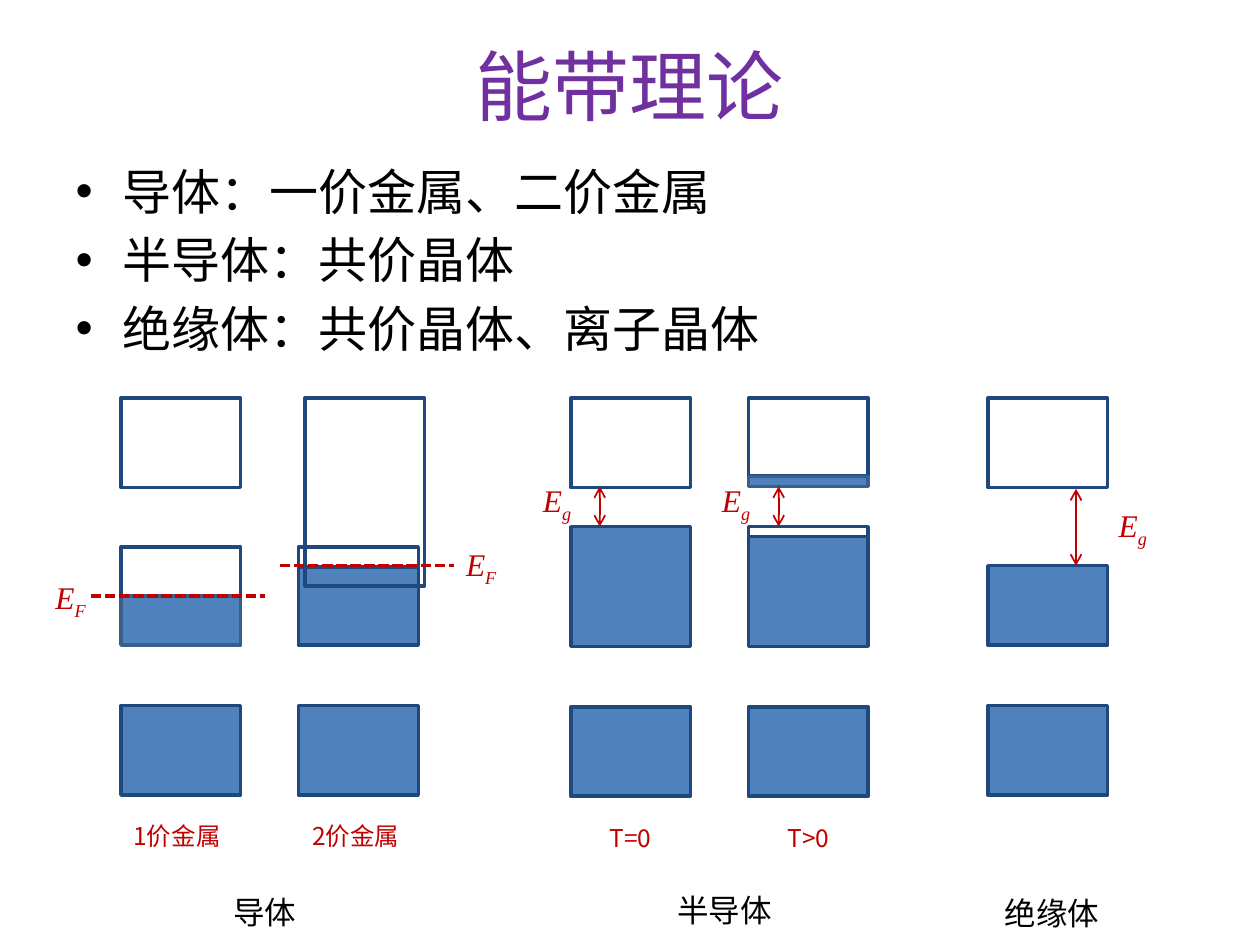
from lxml import etree
from pptx import Presentation
from pptx.dml.color import RGBColor
from pptx.enum.dml import MSO_LINE
from pptx.enum.shapes import MSO_CONNECTOR, MSO_SHAPE
from pptx.enum.text import MSO_ANCHOR, MSO_AUTO_SIZE, PP_ALIGN
from pptx.oxml.ns import qn
from pptx.util import Inches, Pt

RECT = MSO_SHAPE.RECTANGLE
STRAIGHT = MSO_CONNECTOR.STRAIGHT
DASH = MSO_LINE.SQUARE_DOT
MIDDLE = MSO_ANCHOR.MIDDLE
GROW = MSO_AUTO_SIZE.SHAPE_TO_FIT_TEXT
LEFT, CENTER = PP_ALIGN.LEFT, PP_ALIGN.CENTER

BLUE, WHITE, NAVY, STEEL = "4F81BD", "FFFFFF", "1F497D", "3A5F8C"
RED, BLACK, PURPLE = "C00000", "000000", "7030A0"
CJK = "Noto Sans CJK SC"
hue = RGBColor.from_string


def write(par, text, color, **form):
    """Add a run to a paragraph, with its font set from form."""
    run = par.add_run()
    run.text = text
    for key, value in form.items():
        setattr(run.font, key, value)
    run.font.color.rgb = hue(color)
    etree.SubElement(run.font._element, qn("a:ea"), typeface=CJK)
    return run


def add_label(left, top, width, align=CENTER, wrap=True):
    """Add a text box and return its first paragraph."""
    box = slide.shapes.add_textbox(Inches(left), Inches(top), Inches(width), Inches(0.4))
    box.text_frame.word_wrap = wrap
    box.text_frame.auto_size = GROW
    par = box.text_frame.paragraphs[0]
    par.alignment = align
    return par


deck = Presentation()
deck.slide_width, deck.slide_height = Inches(10), Inches(7.5)
slide = deck.slides.add_slide(deck.slide_layouts[1])

# Title and list
title, body = slide.placeholders
for holder, top, height in ((title, 0.05, 1.25), (body, 1.23, 1.73)):
    holder.left, holder.top = Inches(0.5), Inches(top)
    holder.width, holder.height = Inches(9), Inches(height)
title.text_frame.vertical_anchor = MIDDLE
head = title.text_frame.paragraphs[0]
head.alignment = CENTER
write(head, "能带理论", PURPLE, size=Pt(44), name=CJK)

items = ("导体：一价金属、二价金属", "半导体：共价晶体", "绝缘体：共价晶体、离子晶体")
for row, item in enumerate(items):
    par = body.text_frame.add_paragraph() if row else body.text_frame.paragraphs[0]
    write(par, item, BLACK, size=Pt(28), name="Calibri")

# Energy bands: left, then (top, height, fill, line) from back to front
columns = (
    (0.96, ((3.16, 0.71, WHITE, NAVY), (4.34, 0.39, WHITE, NAVY),
            (4.73, 0.39, BLUE, STEEL), (5.6, 0.71, BLUE, NAVY))),
    (2.37, ((5.6, 0.71, BLUE, NAVY), (4.49, 0.63, BLUE, NAVY),
            (4.34, 0.16, WHITE, NAVY))),
    (2.42, ((3.16, 1.49, None, NAVY),)),
    (4.53, ((5.61, 0.71, BLUE, NAVY), (4.18, 0.95, BLUE, NAVY),
            (3.16, 0.71, WHITE, NAVY))),
    (5.94, ((5.61, 0.71, BLUE, NAVY), (4.26, 0.87, BLUE, NAVY),
            (3.16, 0.62, WHITE, NAVY), (4.18, 0.08, WHITE, NAVY),
            (3.78, 0.08, BLUE, STEEL))),
    (7.84, ((3.16, 0.71, WHITE, NAVY), (4.49, 0.63, BLUE, NAVY),
            (5.6, 0.71, BLUE, NAVY))),
)
for left, bands in columns:
    for top, height, fill, line in bands:
        band = slide.shapes.add_shape(
            RECT, Inches(left), Inches(top), Inches(0.95), Inches(height))
        band.shadow.inherit = False
        if fill:
            band.fill.solid()
            band.fill.fore_color.rgb = hue(fill)
        else:
            band.fill.background()
        band.line.color.rgb = hue(line)
        band.line.width = Pt(2)

# Dashed Fermi levels and gap arrows
lines = (
    (0.72, 4.73, 2.1, 4.73, True),
    (2.22, 4.49, 3.6, 4.49, True),
    (4.76, 3.86, 4.76, 4.18, False),
    (6.18, 3.86, 6.18, 4.18, False),
    (8.54, 3.88, 8.54, 4.49, False),
)
for x1, y1, x2, y2, level in lines:
    link = slide.shapes.add_connector(
        STRAIGHT, Inches(x1), Inches(y1), Inches(x2), Inches(y2))
    link.line.color.rgb = hue(RED)
    link.line.width = Pt(2 if level else 1)
    if level:
        link.line.dash_style = DASH
    else:
        for end in ("a:headEnd", "a:tailEnd"):
            etree.SubElement(link.line._get_or_add_ln(), qn(end), type="arrow")
    etree.SubElement(link._element.spPr, qn("a:effectLst"))

# Energy symbols
symbols = ((0.34, 4.54, "F"), (3.6, 4.28, "F"),
           (4.21, 3.77, "g"), (5.63, 3.77, "g"), (8.78, 3.97, "g"))
serif = {"size": Pt(18), "name": "Times New Roman", "italic": True}
for left, top, index in symbols:
    par = add_label(left, top, 0.45, LEFT, False)
    write(par, "E", RED, **serif)
    sub = write(par, index, RED, **serif)
    sub.font._element.set("baseline", "-25000")

# Column captions and group names
captions = ((0.96, 6.47, "1价金属", LEFT), (2.38, 6.47, "2价金属", LEFT),
            (4.53, 6.48, "T=0", CENTER), (5.94, 6.48, "T>0", CENTER))
for left, top, text, align in captions:
    write(add_label(left, top, 0.95, align), text, RED, size=Pt(14), name=CJK)

for left, top, text in ((1.59, 7.04, "导体"), (5.24, 7.02, "半导体"), (7.84, 7.05, "绝缘体")):
    write(add_label(left, top, 1.02), text, BLACK, size=Pt(18), name=CJK)

deck.save("out.pptx")
